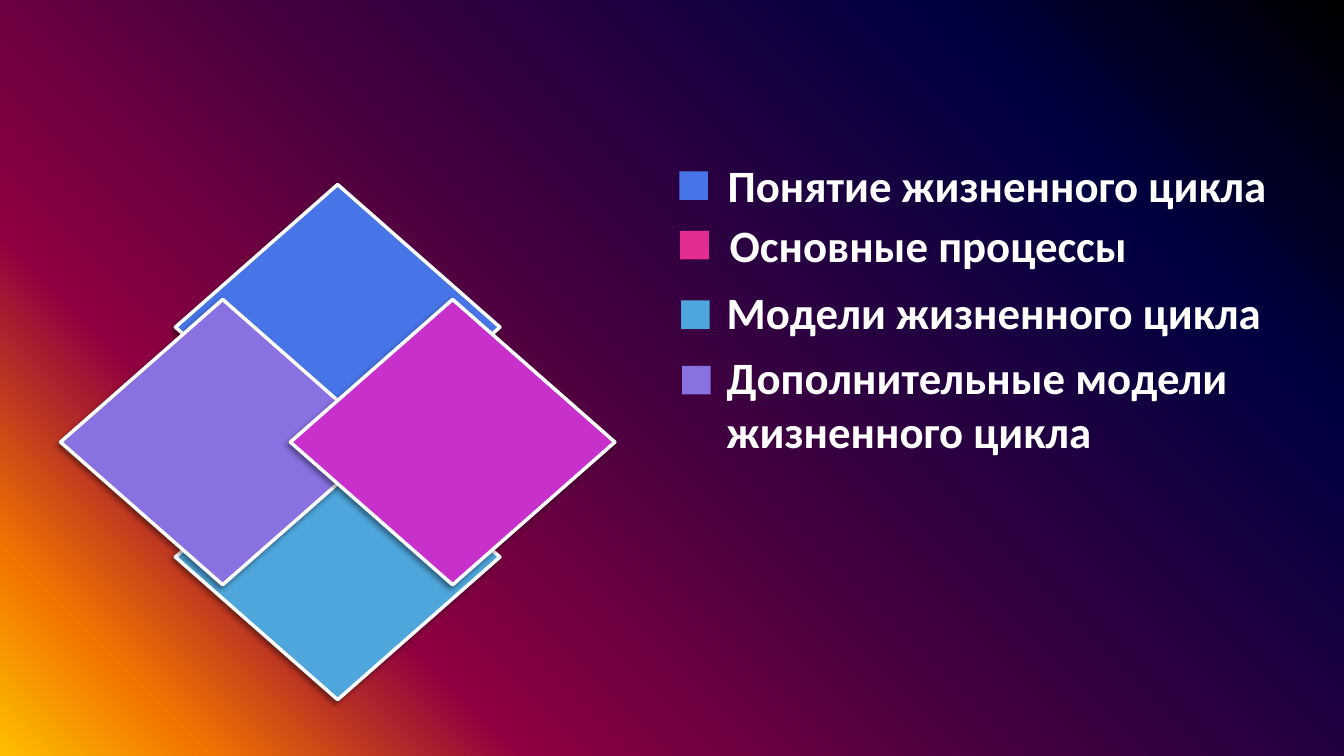
from pptx import Presentation
from pptx.dml.color import RGBColor
from pptx.enum.shapes import MSO_SHAPE
from pptx.oxml import parse_xml
from pptx.oxml.ns import nsdecls, qn
from pptx.util import Pt

BLUE, CYAN, VIOLET = "4775E7", "4EA6DC", "8971E1"
MAGENTA, PINK, WHITE = "C830CC", "E32D91", "FFFFFF"
GRADIENT = [(0, "000000"), (20, "000040"), (50, "400040"),
            (75, "8F0040"), (90, "F27300"), (100, "FFBF00")]
DIAMONDS = [(1, 0, BLUE), (1, 2, CYAN), (0, 1, VIOLET), (2, 1, MAGENTA)]
TOPICS = [
    (0, 0, 13.3, BLUE, ["Понятие жизненного цикла"]),
    (1.4, 43.2, 12.6, PINK, ["Основные процессы"]),
    (-0.7, 90.8, 14.7, CYAN, ["Модели жизненного цикла"]),
    (-0.7, 137.4, 14.9, VIOLET, ["Дополнительные модели", "жизненного цикла"]),
]


def rgb(value):
    return RGBColor.from_string(value)


def add_background(s):
    fill = s.background.fill
    fill.gradient()
    fill.gradient_angle = 225
    stops = next(s.element.iter(qn("a:gsLst")))
    for stop in list(stops):
        stops.remove(stop)
    for position, color in GRADIENT:
        stops.append(parse_xml(
            f'<a:gs {nsdecls("a")} pos="{position * 1000}">'
            f'<a:srgbClr val="{color}"/></a:gs>'))


def add_filled(s, kind, left, top, width, height, color):
    sp = s.shapes.add_shape(kind, Pt(left), Pt(top), Pt(width), Pt(height))
    sp.shadow.inherit = False
    sp.fill.solid()
    sp.fill.fore_color.rgb = rgb(color)
    sp.line.fill.background()
    return sp


def add_shadow(sp):
    effects = sp.element.spPr.find(qn("a:effectLst"))
    effects.append(parse_xml(
        f'<a:outerShdw {nsdecls("a")} blurRad="{Pt(4)}" dist="{Pt(3)}" '
        'dir="8100000" rotWithShape="0"><a:srgbClr val="000000">'
        '<a:alpha val="40000"/></a:srgbClr></a:outerShdw>'))


def add_diamonds(s, left, top, width, height):
    step = 82.1
    for column, row, color in DIAMONDS:
        sp = add_filled(s, MSO_SHAPE.DIAMOND, left + column * step,
                        top + row * step, width - 2 * step,
                        height - 2 * step, color)
        sp.line.color.rgb = rgb(WHITE)
        sp.line.width = Pt(2.5)
        add_shadow(sp)


def add_topics(s, left, top, width):
    marker, indent = 20.4, 27.4
    for dx, dy, drop, color, lines in TOPICS:
        add_filled(s, MSO_SHAPE.RECTANGLE, left + dy / 70, top + dy + drop,
                   marker, marker, color)
        sp = s.shapes.add_textbox(Pt(left + indent + dx), Pt(top + dy),
                                  Pt(width - indent - dx),
                                  Pt(7.2 + 39 * len(lines)))
        tf = sp.text_frame
        tf.word_wrap = True
        tf.text = "\n".join(lines)
        for p in tf.paragraphs:
            for r in p.runs:
                r.font.name = "Calibri"
                r.font.size = Pt(32)
                r.font.bold = True
                r.font.color.rgb = rgb(WHITE)


def main():
    prs = Presentation()
    prs.slide_width, prs.slide_height = Pt(960), Pt(540)
    s = prs.slides.add_slide(prs.slide_layouts[6])
    add_background(s)
    add_diamonds(s, 43.2, 131.8, 396, 368)
    add_topics(s, 485.3, 109.1, 474.7)
    prs.save("out.pptx")


if __name__ == "__main__":
    main()
